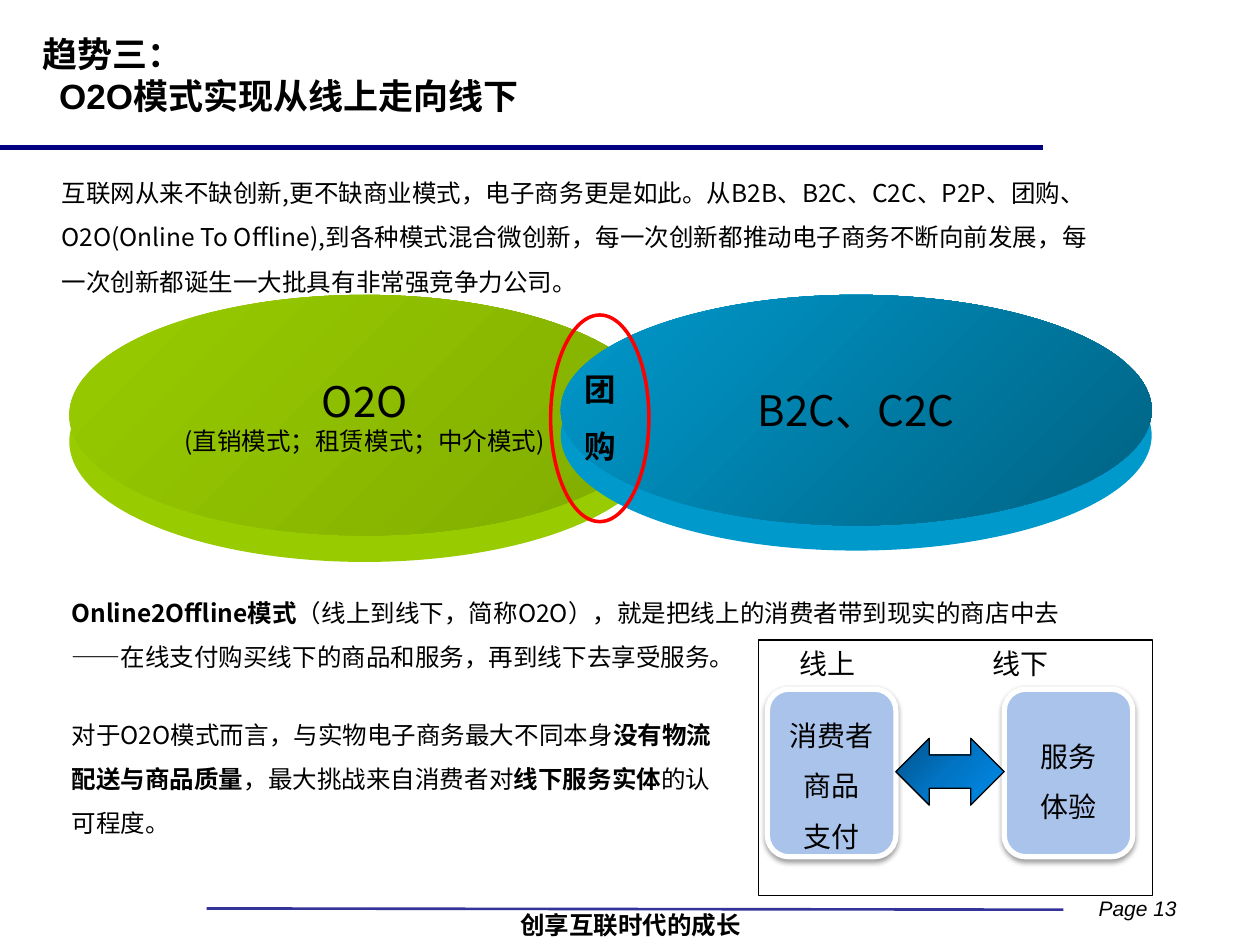
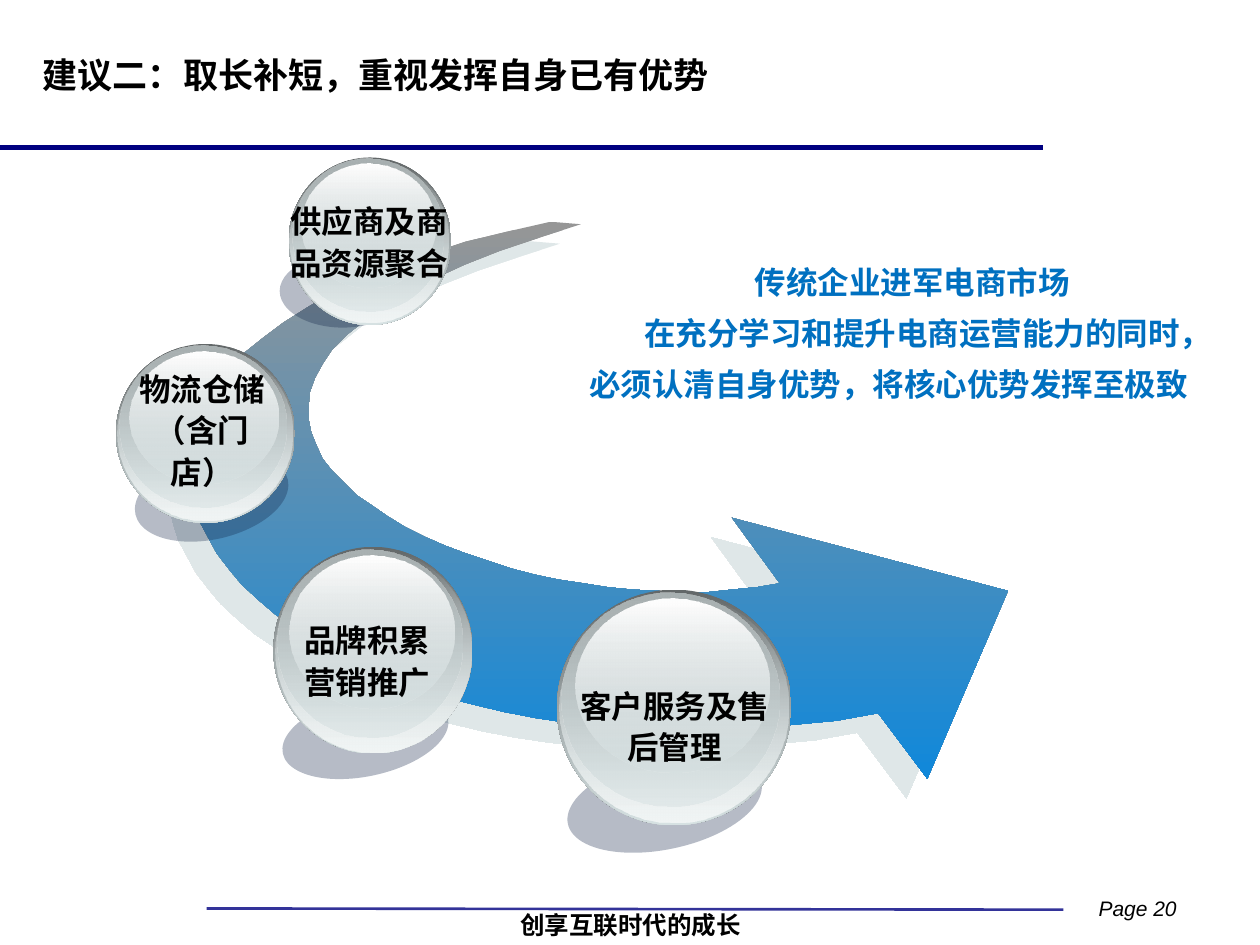
from dataclasses import dataclass

from lxml.etree import SubElement
from pptx import Presentation
from pptx.dml.color import RGBColor
from pptx.enum.shapes import MSO_CONNECTOR, MSO_SHAPE
from pptx.enum.text import MSO_ANCHOR, MSO_AUTO_SIZE, PP_ALIGN
from pptx.oxml import parse_xml
from pptx.oxml.ns import nsdecls, qn
from pptx.util import Pt

PX = 9144


@dataclass(frozen=True)
class Theme:
    """Colours, fonts and type sizes of the deck."""
    ink: str = "000000"
    white: str = "FFFFFF"
    title_rule: str = "000080"
    footer_rule: str = "333399"
    green: str = "99CC00"
    green_dark: str = "80AB00"
    cyan: str = "0099CC"
    cyan_dark: str = "006283"
    red: str = "FF0000"
    card: str = "AAC3EA"
    message: str = "0070C0"
    floor_shadow: str = "0F2145"
    sweep_shadow: str = "C1D1D3"
    east_asian: str = "Noto Sans CJK SC"
    latin: str = "Arial"
    serif: str = "Times New Roman"
    page_size: int = 12
    body_size: int = 14
    card_size: int = 16
    label_size: int = 18
    title_size: int = 20
    disc_size: int = 24
    exchange: tuple = ((0, "01528A"), (50, "0175C5"), (100, "018BE9"))
    sweep: tuple = ((0, "969696"), (100, "1088DA"))
    glass: tuple = (
        ((0, 0, 1, 1), ((0, "636869"), (100, "D6E1E2"))),
        ((0.01, 0.01, 0.98, 0.98), ((0, "D6E1E2", 0), (100, "F1F5F5"))),
        ((0.02, 0.01, 0.93, 0.91), ((0, "AAB2B3"), (100, "D6E1E2", 48))),
        ((0.08, 0.04, 0.83, 0.74), ((0, "FFFFFF"), (100, "D6E1E2", 38))),
    )


@dataclass(frozen=True)
class Strong:
    """A bold stretch of text."""
    text: str


class Painter:
    """Draws styled elements on the current page."""

    def __init__(self, deck, theme):
        """Keep the deck and its theme."""
        self.deck = deck
        self.theme = theme
        self.page = None

    def new_page(self, number, title_width):
        """Start a page with its rules and footer, and return the title box."""
        theme = self.theme
        self.page = self.deck.slides.add_slide(self.deck.slide_layouts[5])
        self.line((0, 117), (828, 117), theme.title_rule, 2.5)
        self.line((164, 721), (844, 722), theme.footer_rule, 1.5)
        slogan = self.text_box((402, 717, 197, 34), wrap=False)
        self.add_text(slogan, Strong("创享互联时代的成长"), align=PP_ALIGN.CENTER)
        folio = self.text_box((862, 706, 89, 30), wrap=False)
        self.add_text(folio, f"Page {number}", size=theme.page_size,
                      font=theme.latin, italic=True)
        title = self.page.shapes.title
        title.left, title.top, title.width, title.height = self.emu((24, 20, title_width, 79))
        self.frame(title, MSO_ANCHOR.MIDDLE)
        return title

    def emu(self, lengths):
        """Turn px lengths into EMU."""
        return [round(length) * PX for length in lengths]

    def line(self, start, end, color, weight):
        """Draw a straight line."""
        rule = self.page.shapes.add_connector(MSO_CONNECTOR.STRAIGHT, *self.emu(start + end))
        rule.line.color.rgb = RGBColor.from_string(color)
        rule.line.width = Pt(weight)
        SubElement(rule._element.spPr, qn("a:effectLst"))

    def frame(self, box, anchor=MSO_ANCHOR.TOP, wrap=True):
        """Set how text sits in a box."""
        frame = box.text_frame
        frame.auto_size = MSO_AUTO_SIZE.NONE
        frame.vertical_anchor = anchor
        frame.word_wrap = wrap

    def text_box(self, place, anchor=MSO_ANCHOR.TOP, wrap=True):
        """Add an empty text box."""
        box = self.page.shapes.add_textbox(*self.emu(place))
        self.frame(box, anchor, wrap)
        return box

    def shape(self, kind, place, fill=None, **style):
        """Add a preset shape."""
        box = self.page.shapes.add_shape(kind, *self.emu(place))
        self.finish(box, fill, **style)
        return box

    def freeform(self, points, fill, **style):
        """Add a closed outline."""
        builder = self.page.shapes.build_freeform(*points[0], scale=PX)
        builder.add_line_segments(points[1:], close=True)
        self.finish(builder.convert_to_shape(), fill, **style)

    def finish(self, box, fill, angle=90, alpha=None, line=None, weight=0.75, shadow=None):
        """Apply fill, outline and shadow."""
        properties = box._element.spPr
        if isinstance(fill, str):
            box.fill.solid()
            box.fill.fore_color.rgb = RGBColor.from_string(fill)
            if alpha is not None:
                tint = properties.find(qn("a:solidFill")).find(qn("a:srgbClr"))
                SubElement(tint, qn("a:alpha"), val=str(alpha * 1000))
        else:
            box.fill.background()
        if fill and not isinstance(fill, str):
            properties.replace(properties.find(qn("a:noFill")), self.gradient(fill, angle))
        if line:
            box.line.color.rgb = RGBColor.from_string(line)
            box.line.width = Pt(weight)
        else:
            box.line.fill.background()
        box.shadow.inherit = False
        if shadow:
            color, opacity, blur, distance, direction = shadow
            outer = SubElement(properties.find(qn("a:effectLst")), qn("a:outerShdw"),
                               blurRad=str(int(Pt(blur))), dist=str(int(Pt(distance))),
                               dir=str(direction * 60000), algn="ctr", rotWithShape="0")
            tint = SubElement(outer, qn("a:srgbClr"), val=color)
            SubElement(tint, qn("a:alpha"), val=str(opacity * 1000))

    def gradient(self, stops, angle):
        """Build a linear gradient from (position, colour, opacity) stops."""
        fill = parse_xml(f'<a:gradFill {nsdecls("a")} rotWithShape="1"><a:gsLst/>'
                         f'<a:lin ang="{angle * 60000}" scaled="0"/></a:gradFill>')
        for position, color, *opacity in stops:
            stop = SubElement(fill[0], qn("a:gs"), pos=str(position * 1000))
            tint = SubElement(stop, qn("a:srgbClr"), val=color)
            for value in opacity:
                SubElement(tint, qn("a:alpha"), val=str(value * 1000))
        return fill

    def add_text(self, box, *texts, size=None, font=None, color=None, italic=False,
                 align=PP_ALIGN.LEFT, leading=None, before=None, margin=0):
        """Add one paragraph, run by run."""
        theme = self.theme
        para = box.text_frame.paragraphs[-1]
        if para.runs:
            para = box.text_frame.add_paragraph()
        para.alignment = align
        if leading:
            para.line_spacing = leading
        if before:
            para.space_before = Pt(before)
        if margin:
            para._p.get_or_add_pPr().set("marL", str(margin * PX))
        for text in texts:
            strong = isinstance(text, Strong)
            span = para.add_run()
            span.text = text.text if strong else text
            span.font.size = Pt(size or theme.body_size)
            span.font.bold = strong
            span.font.italic = italic
            span.font.color.rgb = RGBColor.from_string(color or theme.ink)
            span.font.name = font or theme.east_asian
            SubElement(span._r.get_or_add_rPr(), qn("a:ea"), typeface=theme.east_asian)

    def disc(self, place, depth, side, face):
        """Draw a thick disc and return its top."""
        left, top, width, height = place
        self.shape(MSO_SHAPE.OVAL, (left, top + depth, width, height), side)
        box = self.shape(MSO_SHAPE.OVAL, place, ((0, side), (100, face)), angle=45)
        self.frame(box, MSO_ANCHOR.MIDDLE, wrap=False)
        return box

    def card(self, place, anchor, lines):
        """Draw a rounded card with centred lines."""
        theme = self.theme
        box = self.shape(MSO_SHAPE.ROUNDED_RECTANGLE, place, theme.card, line=theme.white,
                         weight=3, shadow=(theme.ink, 38, 3.1, 1.6, 90))
        self.frame(box, anchor)
        for text in lines:
            self.add_text(box, text, size=theme.card_size, align=PP_ALIGN.CENTER, leading=1.5)

    def ball(self, label, place, label_place, shadow_place, tilt):
        """Draw a glass ball with its floor shadow and label."""
        theme = self.theme
        floor = self.shape(MSO_SHAPE.OVAL, shadow_place, theme.floor_shadow, alpha=30)
        floor.rotation = tilt
        left, top, width, height = place
        for (x, y, across, down), stops in theme.glass:
            self.shape(MSO_SHAPE.OVAL, (left + x * width, top + y * height,
                                        across * width, down * height), stops)
        box = self.text_box(label_place, MSO_ANCHOR.MIDDLE)
        self.add_text(box, Strong(label), size=theme.label_size, font=theme.serif,
                      align=PP_ALIGN.CENTER, leading=1.1, before=5.4)


def trend_page(painter):
    """Build the page on the O2O model."""
    theme = painter.theme
    title = painter.new_page(13, 859)
    painter.add_text(title, Strong("趋势三："), size=theme.title_size)
    painter.add_text(title, Strong("O2O模式实现从线上走向线下"), size=theme.title_size,
                     font=theme.latin, margin=13)

    direct = painter.disc((55, 234, 469, 191), 21, theme.green, theme.green_dark)
    painter.add_text(direct, "O2O", size=theme.disc_size, align=PP_ALIGN.CENTER)
    painter.add_text(direct, "(直销模式；租赁模式；中介模式)", align=PP_ALIGN.CENTER)
    retail = painter.disc((445, 234, 469, 183), 20, theme.cyan, theme.cyan_dark)
    painter.add_text(retail, "B2C、C2C", size=theme.disc_size, align=PP_ALIGN.CENTER)
    overlap = painter.shape(MSO_SHAPE.OVAL, (437, 250, 78, 164), line=theme.red, weight=2)
    painter.frame(overlap)
    painter.add_text(overlap, Strong("团购"), size=theme.label_size,
                     align=PP_ALIGN.CENTER, leading=1.5)

    passages = (
        ((47, 458, 820, 81), (
            Strong("Online2Offline模式"),
            "（线上到线下，简称O2O），就是把线上的消费者带到现实的商店中去"
            "——在线支付购买线下的商品和服务，再到线下去享受服务。")),
        ((39, 125, 836, 112), (
            "互联网从来不缺创新,更不缺商业模式，电子商务更是如此。从B2B、B2C、C2C、P2P、"
            "团购、O2O(Online To Offline),到各种模式混合微创新，每一次创新都推动电子商务"
            "不断向前发展，每一次创新都诞生一大批具有非常强竞争力公司。",)),
        ((47, 555, 539, 116), (
            "对于O2O模式而言，与实物电子商务最大不同本身", Strong("没有物流配送与商品质量"),
            "，最大挑战来自消费者对", Strong("线下服务实体"), "的认可程度。")),
    )
    for place, texts in passages:
        painter.add_text(painter.text_box(place), *texts, leading=1.5)

    for left, heading in ((625, "线上"), (778, "线下")):
        painter.add_text(painter.text_box((left, 508, 105, 37)), heading, size=theme.card_size)
    painter.card((609, 547, 102, 133), MSO_ANCHOR.TOP, ("消费者", "商品", "支付"))
    painter.card((797, 547, 102, 133), MSO_ANCHOR.MIDDLE, ("服务", "体验"))
    painter.shape(MSO_SHAPE.LEFT_RIGHT_ARROW, (711, 586, 86, 53), theme.exchange,
                  angle=45, line=theme.ink)
    painter.shape(MSO_SHAPE.RECTANGLE, (602, 508, 313, 203), line=theme.ink)


SWEEP_OUTLINE = (
    (437, 176), (402, 184), (369, 192), (339, 202), (312, 211), (287, 222), (264, 232),
    (244, 244), (225, 256), (209, 268), (194, 280), (182, 293), (172, 306), (164, 319),
    (157, 333), (153, 346), (150, 360), (150, 373), (151, 387), (154, 400), (158, 413),
    (165, 426), (172, 439), (182, 452), (192, 464), (205, 476), (219, 488), (234, 498),
    (250, 509), (268, 519), (287, 529), (308, 537), (329, 546), (351, 553), (375, 559),
    (400, 565), (426, 570), (453, 574), (481, 577), (509, 579), (539, 579), (569, 579),
    (600, 578), (632, 575), (664, 572), (697, 566), (736, 618), (800, 469), (581, 411),
    (619, 463), (601, 466), (581, 468), (562, 470), (542, 470), (522, 469), (502, 468),
    (482, 466), (463, 463), (443, 460), (424, 456), (405, 451), (387, 445), (369, 439),
    (353, 433), (337, 426), (321, 418), (308, 410), (295, 401), (283, 393), (273, 383),
    (264, 374), (256, 364), (251, 353), (247, 343), (245, 333), (245, 322), (246, 311),
    (250, 300), (256, 289), (264, 277), (275, 266), (289, 255), (304, 243), (323, 232),
    (345, 221), (369, 210), (397, 199), (427, 189), (461, 178),
)

BALLS = (
    ("客户服务及售后管理", (442, 468, 186, 187), (445, 518, 181, 114), (449, 601, 157, 73), 347.9),
    ("物流仓储（含门店）", (92, 273, 142, 142), (94, 299, 133, 82), (106, 361, 124, 67), 347.1),
    ("供应商及商品资源聚合", (229, 125, 129, 133), (219, 142, 148, 97), (222, 202, 100, 58), 0),
    ("品牌积累营销推广", (217, 434, 158, 164), (225, 468, 133, 110), (223, 552, 134, 64), 347.9),
)


def advice_page(painter):
    """Build the page on using existing strengths."""
    theme = painter.theme
    title = painter.new_page(20, 804)
    painter.add_text(title, Strong("建议二：取长补短，重视发挥自身已有优势"), size=theme.title_size)
    painter.freeform(SWEEP_OUTLINE, theme.sweep, shadow=(theme.sweep_shadow, 50, 0, 16.3, 137))
    message = painter.text_box((453, 162, 504, 202), MSO_ANCHOR.MIDDLE)
    for text, margin in (("传统企业进军电商市场", 38),
                         ("在充分学习和提升电商运营能力的同时，", 38),
                         ("必须认清自身优势，将核心优势发挥至极致", 0)):
        painter.add_text(message, Strong(text), size=theme.label_size, font=theme.serif,
                         color=theme.message, align=PP_ALIGN.CENTER, leading=1.1,
                         before=5.4, margin=margin)
    for ball in BALLS:
        painter.ball(*ball)


def main():
    """Build and save the deck."""
    deck = Presentation()
    deck.slide_width, deck.slide_height = 1000 * PX, 750 * PX
    painter = Painter(deck, Theme())
    trend_page(painter)
    advice_page(painter)
    deck.save("out.pptx")


if __name__ == "__main__":
    main()
